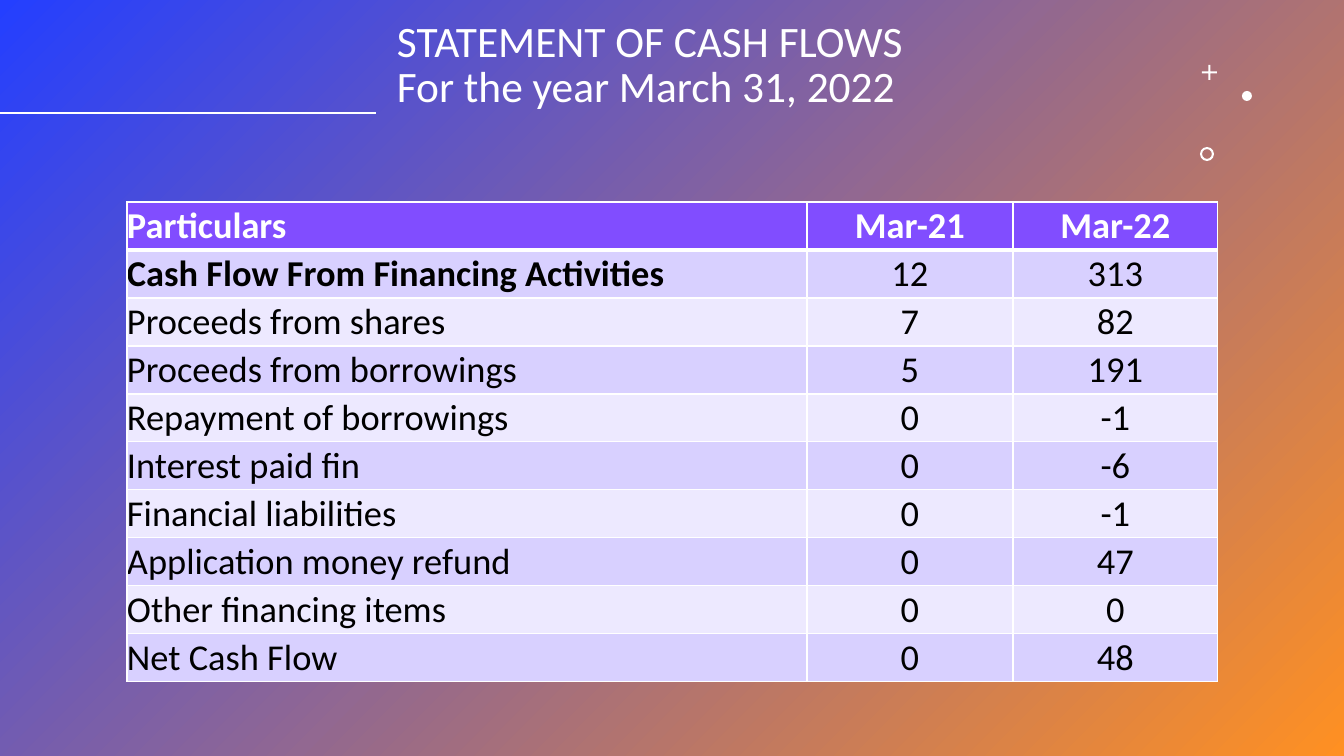
"""Build the cash flow slide with its gradient, title, marks and table."""
from typing import NamedTuple

from lxml.etree import SubElement
from pptx import Presentation
from pptx.dml.color import RGBColor
from pptx.enum.shapes import MSO_CONNECTOR as Link, MSO_SHAPE as Form
from pptx.enum.text import MSO_ANCHOR as Anchor, PP_ALIGN as Align
from pptx.oxml.ns import qn
from pptx.util import Emu, Pt

WHITE = RGBColor(0xFF, 0xFF, 0xFF)
BLACK = RGBColor(0x00, 0x00, 0x00)
BLUE = RGBColor(0x24, 0x3F, 0xFF)
ORANGE = RGBColor(0xFF, 0x90, 0x22)
VIOLET = RGBColor(0x81, 0x4D, 0xFF)
LILAC = RGBColor(0xD8, 0xD0, 0xFF)
PALE = RGBColor(0xED, 0xE9, 0xFF)
FONT = "Calibri"
WIDE, HIGH = 1344, 756
ROW = 48
COLS = (680, 206, 205)


class Mark(NamedTuple):
    form: Form
    left: int
    top: int
    size: int
    ratio: float | None = None


class Entry(NamedTuple):
    label: str
    prior: str
    latest: str


MARKS = (
    Mark(Form.CROSS, 1202, 65, 15, 0.43),
    Mark(Form.OVAL, 1242, 91, 10),
    Mark(Form.DONUT, 1200, 147, 14, 0.15),
)
ENTRIES = (
    Entry("Particulars", "Mar-21", "Mar-22"),
    Entry("Cash Flow From Financing Activities", "12", "313"),
    Entry("Proceeds from shares", "7", "82"),
    Entry("Proceeds from borrowings", "5", "191"),
    Entry("Repayment of borrowings", "0", "-1"),
    Entry("Interest paid fin", "0", "-6"),
    Entry("Financial liabilities", "0", "-1"),
    Entry("Application money refund", "0", "47"),
    Entry("Other financing items", "0", "0"),
    Entry("Net Cash Flow", "0", "48"),
)


def px(count: int) -> Emu:
    return Emu(round(count * 914400 / 100.8))


def style(part, size: int, color: RGBColor, bold: bool = False) -> None:
    for run in part.runs:
        font = run.font
        font.name, font.size, font.bold = FONT, Pt(size), bold
        font.color.rgb = color


def add_back(slide) -> None:
    back = slide.shapes.add_shape(Form.RECTANGLE, 0, 0, px(WIDE), px(HIGH))
    back.shadow.inherit = False
    back.line.fill.background()
    back.fill.gradient()
    back.fill.gradient_angle = 315
    for stop, color, place in zip(back.fill.gradient_stops, (BLUE, ORANGE), (0, 1)):
        stop.color.rgb, stop.position = color, place


def add_title(slide) -> None:
    frame = slide.shapes.add_textbox(px(387), px(21), px(789), px(92)).text_frame
    frame.word_wrap = True
    frame.margin_top = frame.margin_bottom = 0
    frame.text = "STATEMENT OF CASH FLOWS\vFor the year March 31, 2022"
    title = frame.paragraphs[0]
    title.line_spacing = 0.87
    style(title, 31, WHITE)


def add_rule(slide) -> None:
    rule = slide.shapes.add_connector(Link.STRAIGHT, 0, px(113), px(376), px(113))
    rule.line.color.rgb = WHITE
    rule.line.width = Pt(2)
    SubElement(rule._element.spPr, qn("a:effectLst"))


def add_mark(slide, mark: Mark) -> None:
    size = px(mark.size)
    shape = slide.shapes.add_shape(mark.form, px(mark.left), px(mark.top), size, size)
    shape.shadow.inherit = False
    shape.fill.solid()
    shape.fill.fore_color.rgb = WHITE
    shape.line.fill.background()
    if mark.ratio is not None:
        shape.adjustments[0] = mark.ratio


def add_edge(cell, side: str, width: int) -> None:
    edge = SubElement(cell._tc.get_or_add_tcPr(), qn(f"a:ln{side}"), w=str(Pt(width)))
    fill = SubElement(edge, qn("a:solidFill"))
    SubElement(fill, qn("a:srgbClr"), val=str(WHITE))


def fill_cell(cell, text: str, row: int, col: int) -> None:
    cell.margin_left = cell.margin_right = cell.margin_top = cell.margin_bottom = 0
    cell.vertical_anchor = Anchor.MIDDLE
    for side in "LRTB":
        thick = (row, side) in ((0, "B"), (1, "T"))
        add_edge(cell, side, 3 if thick else 1)
    cell.fill.solid()
    cell.fill.fore_color.rgb = VIOLET if row == 0 else LILAC if row % 2 else PALE
    cell.text_frame.text = text
    part = cell.text_frame.paragraphs[0]
    part.alignment = Align.CENTER if col else Align.LEFT
    bold = row == 0 or (row, col) == (1, 0)
    style(part, 26, BLACK if row else WHITE, bold)


def add_grid(slide) -> None:
    count = len(ENTRIES)
    grid = slide.shapes.add_table(
        count, len(COLS), px(127), px(202), px(sum(COLS)), px(ROW * count)
    ).table
    for col, width in zip(grid.columns, COLS):
        col.width = px(width)
    for row, entry in enumerate(ENTRIES):
        grid.rows[row].height = px(ROW)
        for col, text in enumerate(entry):
            fill_cell(grid.cell(row, col), text, row, col)


def main() -> None:
    deck = Presentation()
    deck.slide_width, deck.slide_height = px(WIDE), px(HIGH)
    slide = deck.slides.add_slide(deck.slide_layouts[6])
    add_back(slide)
    add_title(slide)
    add_rule(slide)
    for mark in MARKS:
        add_mark(slide, mark)
    add_grid(slide)
    deck.save("out.pptx")


if __name__ == "__main__":
    main()
